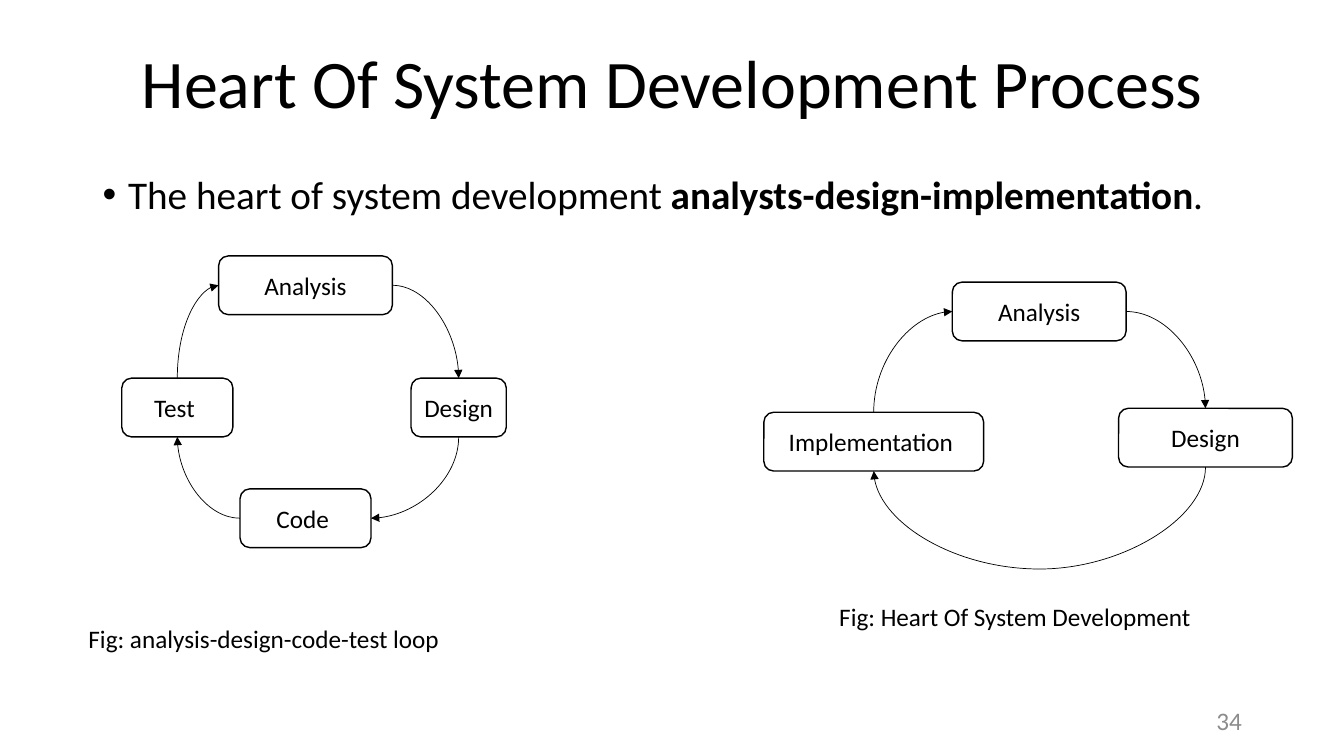
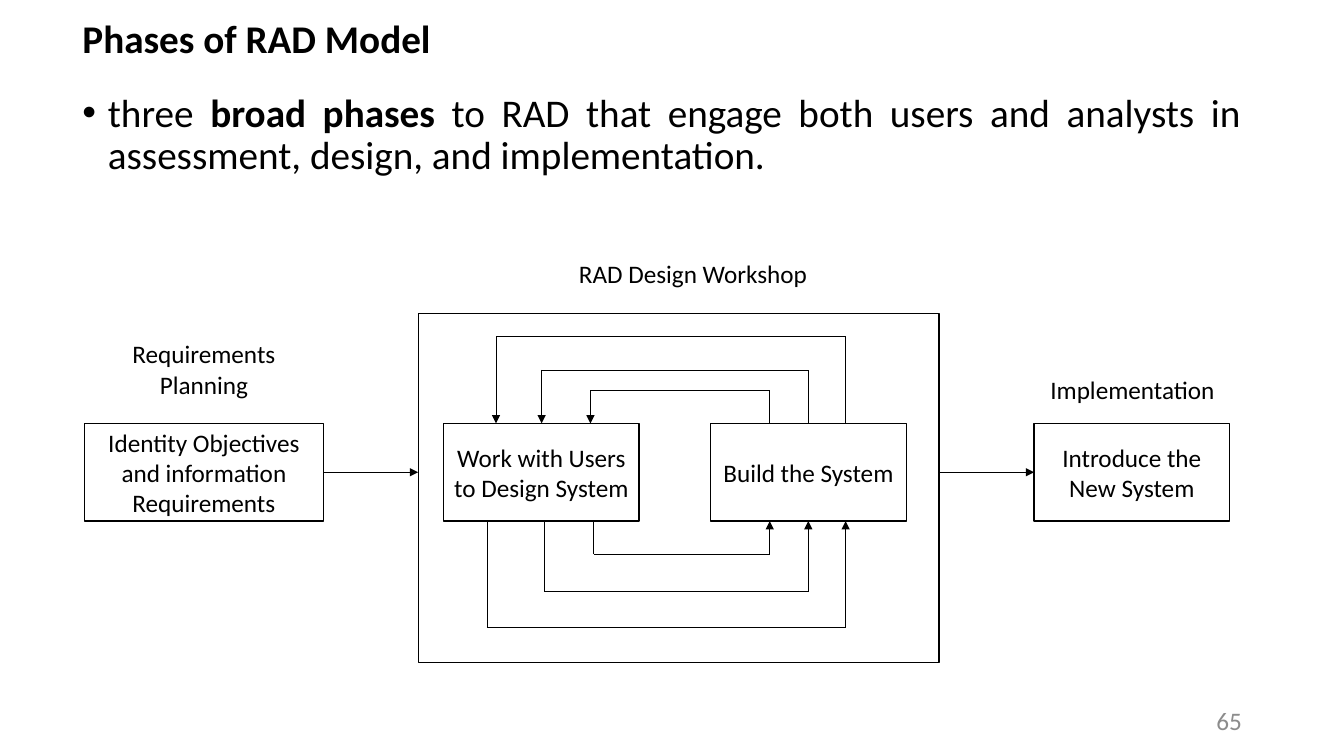
from dataclasses import dataclass

from lxml.etree import SubElement
from pptx import Presentation
from pptx.dml.color import RGBColor
from pptx.enum.shapes import MSO_CONNECTOR as Line, MSO_SHAPE as Preset
from pptx.enum.text import MSO_ANCHOR as Anchor, PP_ALIGN as Align
from pptx.oxml.ns import qn
from pptx.util import Cm, Pt


@dataclass(frozen=True)
class Theme:
    font: str = "Calibri"
    ink: RGBColor = RGBColor(0x00, 0x00, 0x00)
    paper: RGBColor = RGBColor(0xFF, 0xFF, 0xFF)
    muted: RGBColor = RGBColor(0x8C, 0x8C, 0x8C)
    title_size: float = 48.6
    body_size: float = 28
    label_size: float = 18
    outline: float = 1
    hairline: float = 0.5


THEME = Theme()
TOP, LEFT, BOTTOM, RIGHT = range(4)
STEP_HEIGHT = 1.48
PHASE_TOP, PHASE_WIDTH, PHASE_HEIGHT = 10.67, 4.93, 2.46


def add_run(paragraph, text, size, bold=False, color=THEME.ink):
    run = paragraph.add_run()
    run.text = text
    run.font.name = THEME.font
    run.font.size = Pt(size)
    run.font.bold = bold
    run.font.color.rgb = color


def add_frame(slide, left, top, width, height, anchor=Anchor.TOP):
    shape = slide.shapes.add_textbox(Cm(left), Cm(top), Cm(width), Cm(height))
    frame = shape.text_frame
    frame.word_wrap = True
    frame.vertical_anchor = anchor
    return frame


def add_title(slide, text):
    frame = add_frame(slide, 2.34, 0.33, 29.21, 3.68, Anchor.MIDDLE)
    paragraph = frame.paragraphs[0]
    paragraph.alignment = Align.CENTER
    paragraph.line_spacing = 0.9
    add_run(paragraph, text, THEME.title_size)


def add_body_text(paragraph, parts, bullet=False):
    paragraph.alignment = Align.JUSTIFY
    paragraph.line_spacing = 0.9
    paragraph.space_before = Pt(10)
    paragraph.space_after = Pt(12)
    if bullet:
        properties = paragraph._p.get_or_add_pPr()
        properties.set("marL", str(Cm(0.64)))
        properties.set("indent", str(Cm(-0.64)))
        SubElement(properties, qn("a:buFont"), typeface="Arial")
        SubElement(properties, qn("a:buChar"), char="•")
    for text, bold in parts:
        add_run(paragraph, text, THEME.body_size, bold)


def add_page_number(slide, number):
    paragraph = add_frame(slide, 23.93, 17.65, 7.62, 1.02, Anchor.MIDDLE).paragraphs[0]
    paragraph.alignment = Align.RIGHT
    add_run(paragraph, number, THEME.label_size, color=THEME.muted)


def add_label(slide, text, left, top, width, height=1.02, align=Align.CENTER):
    paragraph = add_frame(slide, left, top, width, height).paragraphs[0]
    paragraph.alignment = align
    add_run(paragraph, text, THEME.label_size)


def add_box(slide, preset, left, top, width, height, *lines):
    shape = slide.shapes.add_shape(preset, Cm(left), Cm(top), Cm(width), Cm(height))
    shape.shadow.inherit = False
    shape.fill.solid()
    shape.fill.fore_color.rgb = THEME.paper
    shape.line.color.rgb = THEME.ink
    shape.line.width = Pt(THEME.outline)
    frame = shape.text_frame
    frame.word_wrap = True
    frame.vertical_anchor = Anchor.MIDDLE
    frame.margin_left = frame.margin_right = Cm(0.22)
    for index, text in enumerate(lines):
        paragraph = frame.add_paragraph() if index else frame.paragraphs[0]
        paragraph.alignment = Align.CENTER
        add_run(paragraph, text, THEME.label_size)
    return shape


def add_step(slide, text, left, top, width):
    return add_box(slide, Preset.ROUNDED_RECTANGLE, left, top, width, STEP_HEIGHT, text)


def add_phase(slide, left, *lines, width=PHASE_WIDTH):
    return add_box(slide, Preset.RECTANGLE, left, PHASE_TOP, width, PHASE_HEIGHT, *lines)


def add_line(slide, start, end, kind=Line.STRAIGHT, arrow=None):
    points = [Cm(value) for value in (*start, *end)]
    connector = slide.shapes.add_connector(kind, *points)
    connector.line.color.rgb = THEME.ink
    connector.line.width = Pt(THEME.hairline)
    if arrow:
        SubElement(connector.line._get_or_add_ln(), qn(f"a:{arrow}"), type="triangle")
    SubElement(connector._element.spPr, qn("a:effectLst"))
    return connector


def add_curve(slide, start, start_side, end, end_side, arrow):
    connector = add_line(slide, (0, 0), (1, 1), Line.CURVE, arrow)
    connector.begin_connect(start, start_side)
    connector.end_connect(end, end_side)
    return connector


def add_quarter(slide, flat, flat_side, upright, upright_side, arrow):
    connector = add_curve(slide, flat, flat_side, upright, upright_side, arrow)
    connector._element.spPr.find(qn("a:prstGeom")).set("prst", "curvedConnector2")


def add_sag(slide, start, end, depth):
    connector = add_curve(slide, start, BOTTOM, end, BOTTOM, "tailEnd")
    span = connector.begin_x - connector.end_x
    rise = connector.end_y - connector.begin_y
    center_x = (connector.begin_x + connector.end_x) // 2
    center_y = (connector.begin_y + connector.end_y) // 2
    connector.left, connector.top = center_x - rise // 2, center_y - span // 2
    connector.width, connector.height = rise, span
    properties = connector._element.spPr
    transform = properties.find(qn("a:xfrm"))
    transform.set("flipH", "0")
    transform.set("rot", str(90 * 60000))
    guides = properties.find(qn("a:prstGeom")).get_or_add_avLst()
    ratio = round(Cm(depth) / rise * 100000)
    SubElement(guides, qn("a:gd"), name="adj1", fmla=f"val {ratio}")


def add_route(slide, *points):
    last = len(points) - 2
    for index, (start, end) in enumerate(zip(points, points[1:])):
        add_line(slide, start, end, arrow="tailEnd" if index == last else None)


def add_loop(slide, start_x, end_x, edge, level):
    add_route(slide, (start_x, edge), (start_x, level), (end_x, level), (end_x, edge))


def build_heart_slide(slide):
    add_title(slide, "Heart Of System Development Process")
    body = add_frame(slide, 2.34, 4.29, 29.21, 14.38)
    add_body_text(body.paragraphs[0], [
        ("The heart of system development ", False),
        ("analysts-design-implementation", True),
        (".", False),
    ], bullet=True)
    add_page_number(slide, "34")

    implementation = add_step(slide, "Implementation ", 19.25, 10.39, 5.54)
    design = add_step(slide, "Design", 28.19, 10.29, 4.38)
    analysis = add_step(slide, "Analysis", 24, 7.11, 4.38)
    add_quarter(slide, analysis, LEFT, implementation, TOP, "headEnd")
    add_quarter(slide, analysis, RIGHT, design, TOP, "tailEnd")
    add_sag(slide, design, implementation, 2.57)

    code = add_step(slide, "Code ", 6.05, 12.32, 3.3)
    design = add_step(slide, "Design", 10.36, 9.53, 2.4)
    test = add_step(slide, "Test ", 3.07, 9.53, 2.8)
    analysis = add_step(slide, "Analysis", 5.51, 6.45, 4.38)
    add_quarter(slide, analysis, LEFT, test, TOP, "headEnd")
    add_quarter(slide, analysis, RIGHT, design, TOP, "tailEnd")
    add_quarter(slide, code, RIGHT, design, BOTTOM, "headEnd")
    add_quarter(slide, code, LEFT, test, BOTTOM, "tailEnd")

    for text, left, top in (
        ("Fig: analysis-design-code-test loop", 1.98, 15.57),
        ("Fig: Heart Of System Development", 20.9, 15.04),
    ):
        add_label(slide, text, left, top, 11.61, align=Align.LEFT)


def build_phases_slide(slide):
    body = add_frame(slide, 1.83, 0.38, 29.69, 18.29)
    add_body_text(body.paragraphs[0], [("Phases of RAD Model", True)])
    add_body_text(body.add_paragraph(), [
        ("three ", False),
        ("broad phases", True),
        (" to RAD that engage both users and analysts in assessment, "
         "design, and implementation.", False),
    ], bullet=True)
    add_page_number(slide, "65")

    add_box(slide, Preset.RECTANGLE, 10.54, 7.9, 13.13, 8.79)
    add_phase(slide, 11.18, "Work with Users to Design System")
    add_phase(slide, 17.91, "Build the System")
    add_phase(slide, 2.13, "Identity Objectives and information", "Requirements", width=6.02)
    add_phase(slide, 26.06, "Introduce the New System")

    add_label(slide, "Requirements Planning", 2.13, 8.41, 6.02, 1.8)
    add_label(slide, "RAD Design Workshop", 13.64, 6.38, 7.65)
    add_label(slide, "Implementation", 25.53, 9.32, 6.02)

    middle = PHASE_TOP + PHASE_HEIGHT / 2
    for start_x, end_x in ((8.15, 10.54), (23.67, 26.06)):
        add_route(slide, (start_x, middle), (end_x, middle))

    bottom = PHASE_TOP + PHASE_HEIGHT
    for build_x, back_x, back_level, forth_x, forth_level in (
        (21.31, 12.5, 8.48, 12.27, 15.8),
        (20.37, 13.65, 9.32, 13.72, 14.91),
        (19.4, 14.88, 9.83, 14.96, 13.97),
    ):
        add_loop(slide, build_x, back_x, PHASE_TOP, back_level)
        add_loop(slide, forth_x, build_x, bottom, forth_level)


def main():
    presentation = Presentation()
    presentation.slide_width = Cm(33.87)
    presentation.slide_height = Cm(19.05)
    blank = presentation.slide_layouts[6]
    for build in (build_heart_slide, build_phases_slide):
        build(presentation.slides.add_slide(blank))
    presentation.save("out.pptx")


if __name__ == "__main__":
    main()
